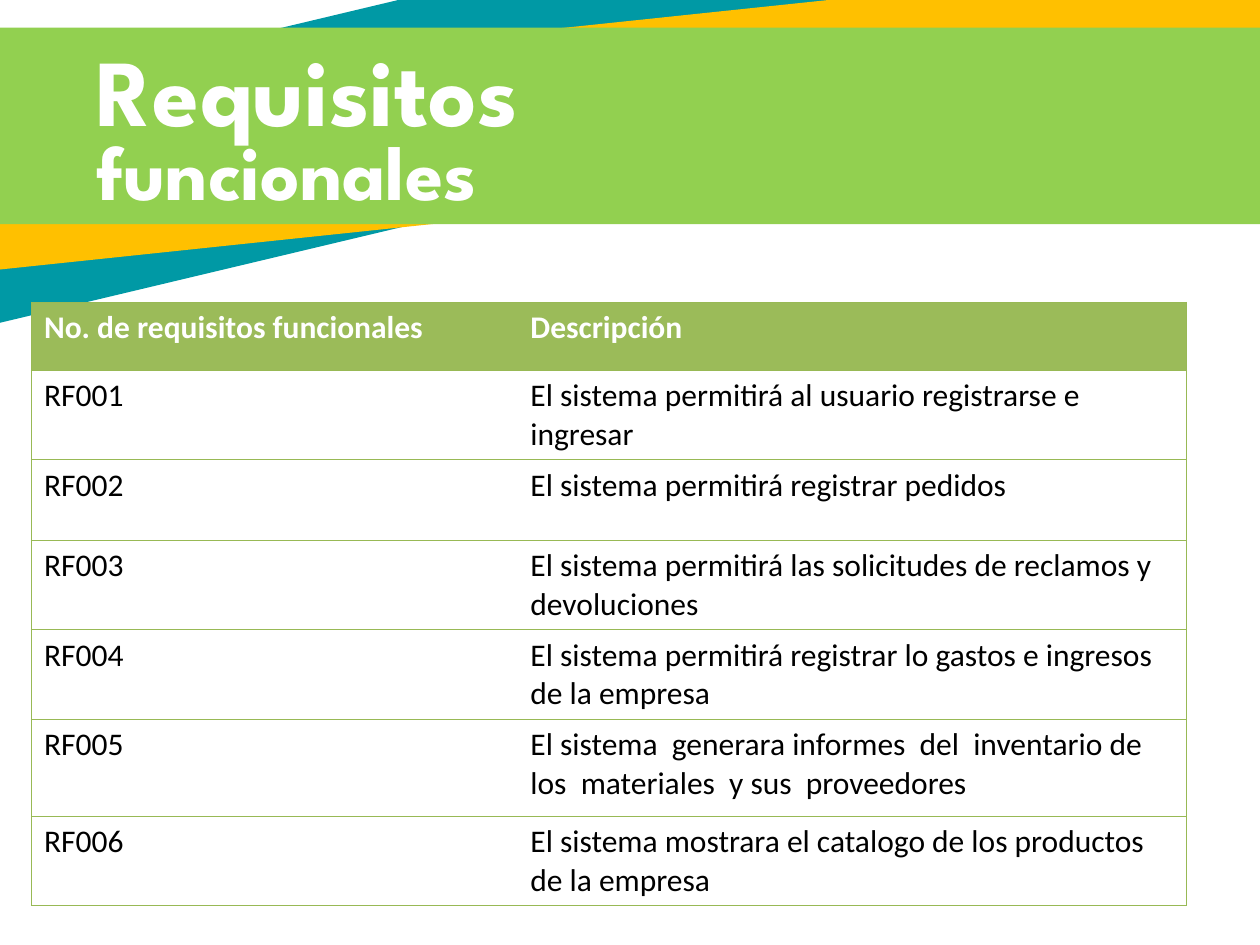
from typing import NamedTuple

from lxml import etree
from pptx import Presentation
from pptx import util as u
from pptx.dml.color import RGBColor
from pptx.enum import shapes, text
from pptx.oxml import ns

WHITE, BLACK = "FFFFFF", "000000"
HEADER_GREEN, BORDER_GREEN = "9BBB59", "98B955"


class Band(NamedTuple):
    left: float
    top: float
    width: float
    height: float
    rotation: float
    color: str


class Title(NamedTuple):
    top: float
    width: float
    height: float
    words: str
    size: int


class Requirement(NamedTuple):
    code: str
    description: str
    height: float


BANDS = [
    Band(-2.51, -0.18, 13.06, 1.76, 346.6, "0099A5"),
    Band(-1.1, 0.2, 11.63, 1.44, 354, "FFC000"),
    Band(-1.06, 0.22, 11.63, 1.56, 0, "92D050"),
]
TITLES = [
    Title(0.29, 4.16, 0.82, "Requisitos", 54),
    Title(1.11, 3.94, 0.48, "funcionales", 44),
]
ROWS = [
    Requirement("No. de requisitos funcionales", "Descripción", 0.54),
    Requirement("RF001", "El sistema permitirá al usuario registrarse e ingresar", 0.71),
    Requirement("RF002", "El sistema permitirá registrar pedidos", 0.64),
    Requirement("RF003", "El sistema permitirá las solicitudes de reclamos y devoluciones", 0.71),
    Requirement("RF004", "El sistema permitirá registrar lo gastos e ingresos de la empresa", 0.71),
    Requirement("RF005", "El sistema  generara informes  del  inventario de los  materiales"
                "  y sus  proveedores", 0.77),
    Requirement("RF006", "El sistema mostrara el catalogo de los productos de la empresa", 0.71),
]
COLUMNS = [3.86, 5.31]


def rgb(color: str) -> RGBColor:
    return RGBColor.from_string(color)


def add_run(p, words: str, font: str, size: int, color: str, bold: bool) -> None:
    r = p.add_run()
    r.text = words
    r.font.name, r.font.size, r.font.bold = font, u.Pt(size), bold
    r.font.color.rgb = rgb(color)


def draw_band(s, band: Band) -> None:
    sp = s.shapes.add_shape(shapes.MSO_SHAPE.RECTANGLE, *map(u.Inches, band[:4]))
    sp.rotation = band.rotation
    sp.shadow.inherit = False
    sp.fill.solid()
    sp.fill.fore_color.rgb = rgb(band.color)
    sp.line.fill.background()


def draw_title(s, title: Title) -> None:
    sp = s.shapes.add_textbox(u.Inches(0.67), u.Inches(title.top),
                              u.Inches(title.width), u.Inches(title.height))
    tf = sp.text_frame
    tf.word_wrap = True
    tf.vertical_anchor = text.MSO_ANCHOR.MIDDLE
    add_run(tf.paragraphs[0], title.words, "League Spartan", title.size, WHITE, True)


def set_borders(cell, visible: str) -> None:
    """Draw the sides named in visible (L, R, T, B) and clear the others."""
    tc_pr = cell._tc.get_or_add_tcPr()
    for side in "LRTB":
        ln = etree.SubElement(tc_pr, ns.qn(f"a:ln{side}"), w=str(u.Pt(0.75)))
        if side in visible:
            fill = etree.SubElement(ln, ns.qn("a:solidFill"))
            etree.SubElement(fill, ns.qn("a:srgbClr"), val=BORDER_GREEN)
        else:
            etree.SubElement(ln, ns.qn("a:noFill"))


def draw_table(s, rows: list[Requirement]) -> None:
    height = sum(row.height for row in rows)
    frame = s.shapes.add_table(len(rows), len(COLUMNS), u.Inches(0.25), u.Inches(2.4),
                               u.Inches(sum(COLUMNS)), u.Inches(height))
    table = frame.table
    table.horz_banding = False
    for column, width in zip(table.columns, COLUMNS):
        column.width = u.Inches(width)
    for i, row in enumerate(rows):
        table.rows[i].height = u.Inches(row.height)
        header = i == 0
        for j, words in enumerate((row.code, row.description)):
            cell = table.cell(i, j)
            set_borders(cell, "LTB" if j == 0 else "RTB")
            if header:
                cell.fill.solid()
                cell.fill.fore_color.rgb = rgb(HEADER_GREEN)
            else:
                cell.fill.background()
            add_run(cell.text_frame.paragraphs[0], words, "Calibri", 18,
                    WHITE if header else BLACK, header)


def main() -> None:
    prs = Presentation()
    prs.slide_width, prs.slide_height = u.Inches(10), u.Inches(7.5)
    s = prs.slides.add_slide(prs.slide_layouts[6])

    # Heading bands
    for band in BANDS:
        draw_band(s, band)

    # Two-line heading
    for title in TITLES:
        draw_title(s, title)

    # Requirements table
    draw_table(s, ROWS)

    prs.save("out.pptx")


if __name__ == "__main__":
    main()
